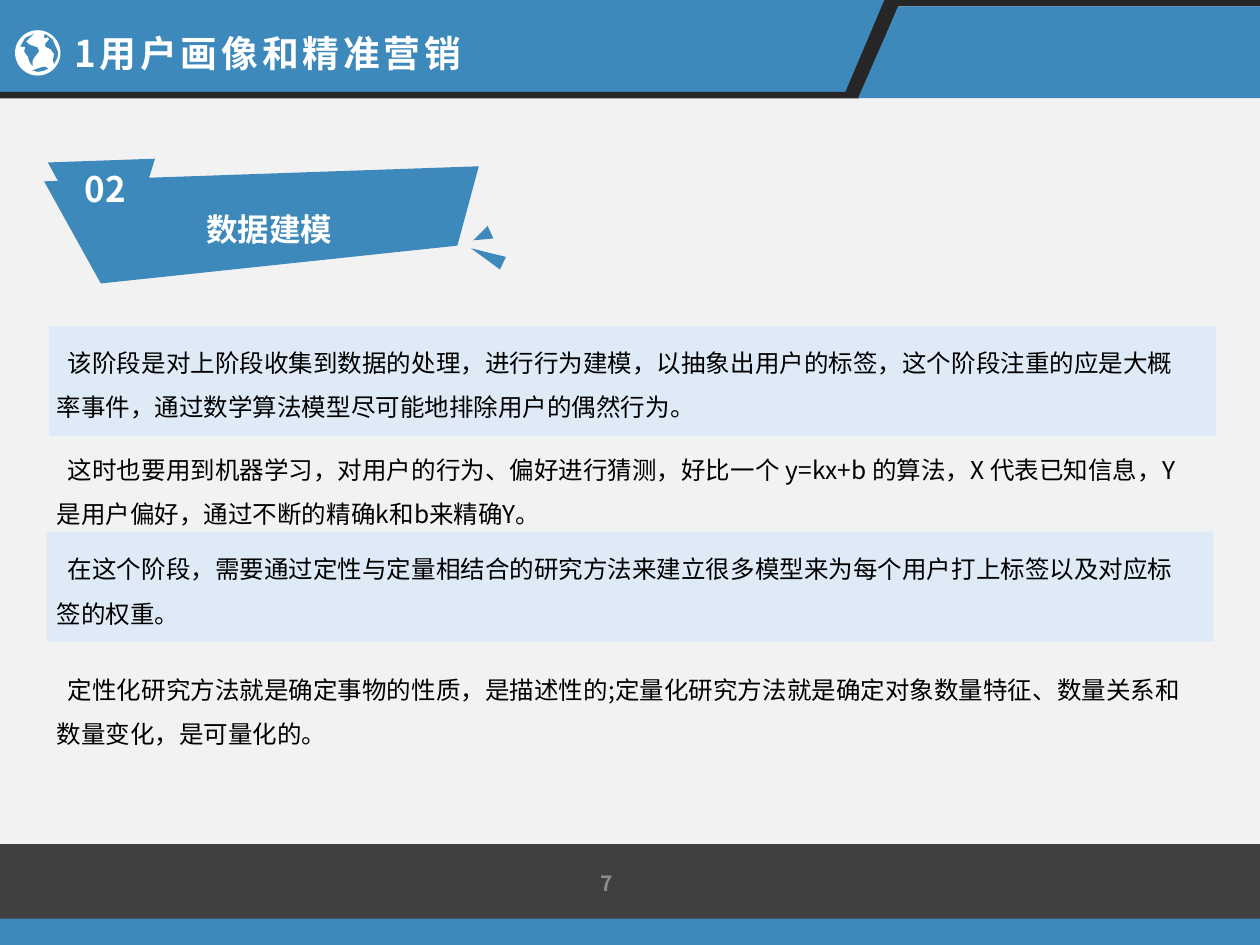
from math import cos, pi, sin

from pptx import Presentation
from pptx.dml.color import RGBColor
from pptx.enum.shapes import MSO_SHAPE as Preset
from pptx.enum.text import MSO_ANCHOR as Anchor, PP_ALIGN as Align
from pptx.util import Inches, Pt
from lxml import etree

FONT = "Noto Sans CJK SC"
BLUE, PALE, WHITE = "3D89BC", "DEEBF7", "FFFFFF"
DARK, BLACK, GREY = "404040", "262626", "8C8C8C"
DRAWING = "{http://schemas.openxmlformats.org/drawingml/2006/main}"

BODY = [  # text, space before in points
    ("该阶段是对上阶段收集到数据的处理，进行行为建模，以抽象出用户的标签，这个阶段注重的应是大概率事件，"
     "通过数学算法模型尽可能地排除用户的偶然行为。", 0),
    ("这时也要用到机器学习，对用户的行为、偏好进行猜测，好比一个 y=kx+b 的算法，X 代表已知信息，"
     "Y 是用户偏好，通过不断的精确k和b来精确Y。", 10.5),
    ("在这个阶段，需要通过定性与定量相结合的研究方法来建立很多模型来为每个用户打上标签以及对应标签的权重。", 6),
    ("定性化研究方法就是确定事物的性质，是描述性的;定量化研究方法就是确定对象数量特征、数量关系和数量变化，"
     "是可量化的。", 18),
]

# Land outlines as fractions of the globe's box
LANDS = [
    [(.95, .48), (.94, .6), (.86, .75), (.83, .67), (.86, .53), (.78, .42), (.67, .37),
     (.66, .3), (.75, .2), (.72, .16), (.64, .18), (.64, .11), (.67, .08), (.83, .2)],
    [(.45, .06), (.39, .11), (.33, .17), (.25, .25), (.31, .31), (.36, .33), (.5, .38),
     (.53, .47), (.42, .61), (.39, .67), (.39, .81), (.31, .69), (.28, .58), (.2, .48),
     (.22, .37), (.11, .36), (.22, .17)],
    [(.36, .89), (.45, .86), (.5, .84), (.64, .8), (.75, .84), (.63, .9), (.5, .92)],
]


def color(value):
    return RGBColor.from_string(value)


def paint(shape, fill):
    shape.shadow.inherit = False
    shape.fill.solid()
    shape.fill.fore_color.rgb = color(fill)
    shape.line.fill.background()
    return shape


def add_preset(page, kind, box, fill, rotation=0):
    shape = paint(page.shapes.add_shape(kind, *map(Inches, box)), fill)
    shape.rotation = rotation
    return shape


def add_outline(page, contours, fill):
    """Draw closed contours, given in inches, as one freeform."""
    contours = [[(Inches(x), Inches(y)) for x, y in points] for points in contours]
    builder = page.shapes.build_freeform(*contours[0][0])
    for number, points in enumerate(contours):
        if number:
            builder.move_to(*points[0])
        builder.add_line_segments(points[1:], close=True)
    return paint(builder.convert_to_shape(), fill)


def set_frame(shape, insets=(0.1, 0.05, 0.1, 0.05), anchor=Anchor.MIDDLE, wrap=True):
    frame = shape.text_frame
    frame.word_wrap = wrap
    frame.vertical_anchor = anchor
    frame.margin_left, frame.margin_top, frame.margin_right, frame.margin_bottom = map(Inches, insets)
    return frame


def add_run(para, text, size, fill, bold=False, align=Align.LEFT):
    para.alignment = align
    span = para.add_run()
    span.text = text
    span.font.size, span.font.bold, span.font.name = Pt(size), bold, FONT
    span.font.color.rgb = color(fill)
    etree.SubElement(span.font._element, DRAWING + "ea").set("typeface", FONT)
    return span


def draw_globe(page, left, top, size):
    def place(points):
        return [(left + x * size, top + y * size) for x, y in points]

    angles = [2 * pi * step / 48 for step in range(48)]
    disc = [(0.5 + 0.5 * cos(angle), 0.5 + 0.5 * sin(angle)) for angle in angles]
    add_outline(page, [place(points) for points in [disc, *LANDS]], WHITE)


def draw_header(page, width, height):
    edge = 0.05
    base = height - edge
    add_outline(page, [[(0, 0), (7.05, 0), (6.74, base), (0, base)]], BLUE)
    add_outline(page, [[(7.02, 0), (width, 0), (width, edge), (7.13, edge), (6.82, height),
                        (0, height), (0, base), (6.71, base)]], BLACK)
    add_outline(page, [[(7.13, edge), (width, edge), (width, height), (6.81, height)]], BLUE)
    title = page.shapes.add_textbox(*map(Inches, (0.49, 0.19, 3.35, 0.45)))
    para = set_frame(title, wrap=False).paragraphs[0]
    span = add_run(para, "1用户画像和精准营销", 21, WHITE, True)
    span.font._element.set("spc", "220")
    draw_globe(page, 0.12, 0.24, 0.36)


def draw_banner(page, left, top):
    """Draw the slanted section label with its number tag and sparks."""
    def outline(*points):
        return add_outline(page, [[(left + x, top + y) for x, y in points]], BLUE)

    label = outline((3.45, 0.06), (3.28, 0.69), (0.45, 0.99), (0, 0.18))
    para = set_frame(label, (0.24, 0.12, 0.12, 0.05)).paragraphs[0]
    add_run(para, "数据建模", 18, WHITE, True, Align.CENTER)
    for x, y, height, rotation in [(3.46, 0.63, 0.28, 295.1), (3.42, 0.54, 0.15, 244.7)]:
        add_preset(page, Preset.ISOSCELES_TRIANGLE, (left + x, top + y, 0.11, height), BLUE, rotation)
    tag = outline((0.88, 0), (0.76, 0.39), (0.27, 0.47), (0.03, 0.03))
    para = set_frame(tag, (0.16, 0.05, 0.1, 0.05)).paragraphs[0]
    add_run(para, "02", 20, WHITE, True, Align.CENTER)


def draw_body(page, left, top, width, height):
    for x, y in [(0.37, 4.22), (0.39, 2.59)]:
        add_preset(page, Preset.RECTANGLE, (x, y, 9.26, 0.87), PALE)
    box = page.shapes.add_textbox(*map(Inches, (left, top, width, height)))
    frame = set_frame(box, anchor=Anchor.TOP)
    for number, (text, gap) in enumerate(BODY):
        para = frame.add_paragraph() if number else frame.paragraphs[0]
        para.line_spacing, para.space_before = Pt(25.4), Pt(gap)
        add_run(para, text, 14, "000000")
        para._p.get_or_add_pPr().set("indent", str(Inches(0.09)))


def draw_footer(page, top, width):
    add_preset(page, Preset.RECTANGLE, (0, top, width, 0.6), DARK)
    add_preset(page, Preset.RECTANGLE, (0, top + 0.59, width, 0.21), BLUE)
    number = page.shapes.add_textbox(*map(Inches, (2.63, top + 0.11, 2.33, 0.4)))
    add_run(set_frame(number).paragraphs[0], "7", 12, GREY, True, Align.RIGHT)


def main():
    deck = Presentation()
    deck.slide_width, deck.slide_height = Inches(10), Inches(7.5)
    page = deck.slides.add_slide(deck.slide_layouts[6])
    page.background.fill.solid()
    page.background.fill.fore_color.rgb = color("F2F2F2")
    draw_footer(page, 6.7, 10)
    draw_header(page, 10, 0.78)
    draw_banner(page, 0.35, 1.26)
    draw_body(page, 0.35, 2.59, 9.12, 3.56)
    deck.save("out.pptx")


if __name__ == "__main__":
    main()
